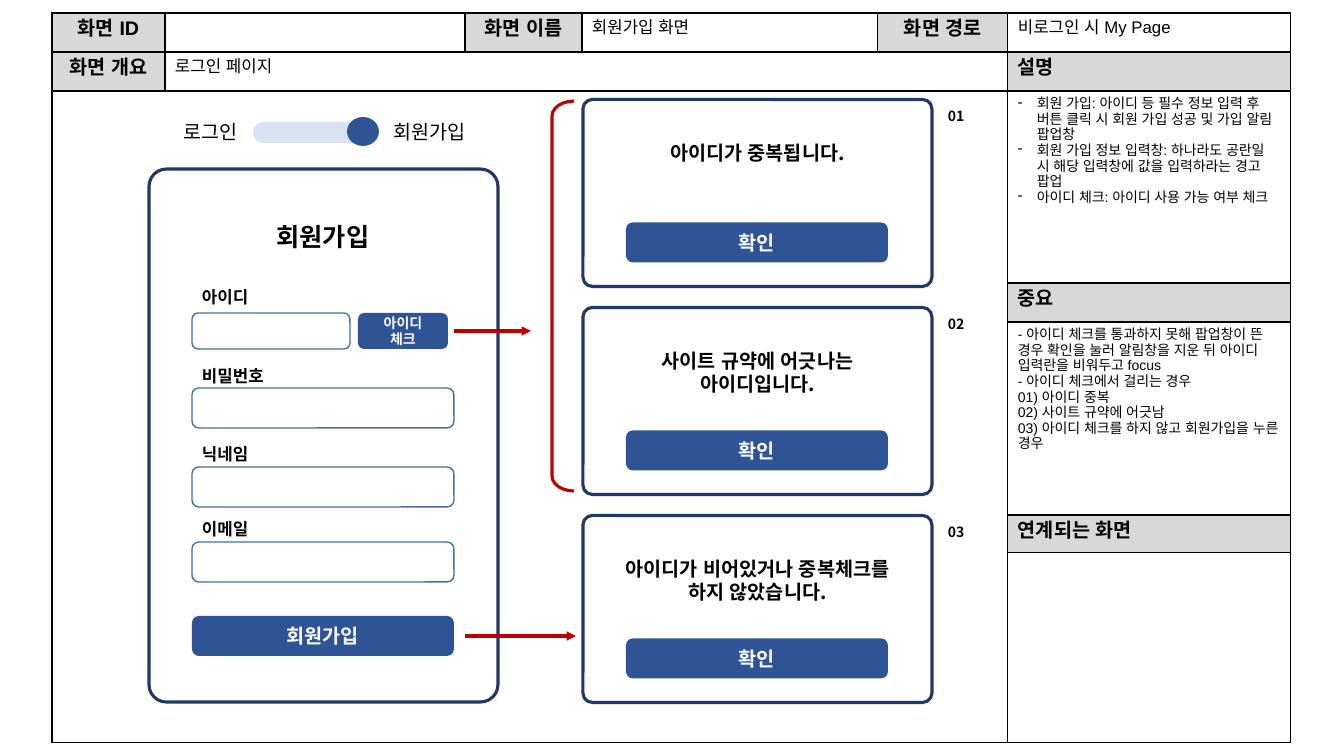
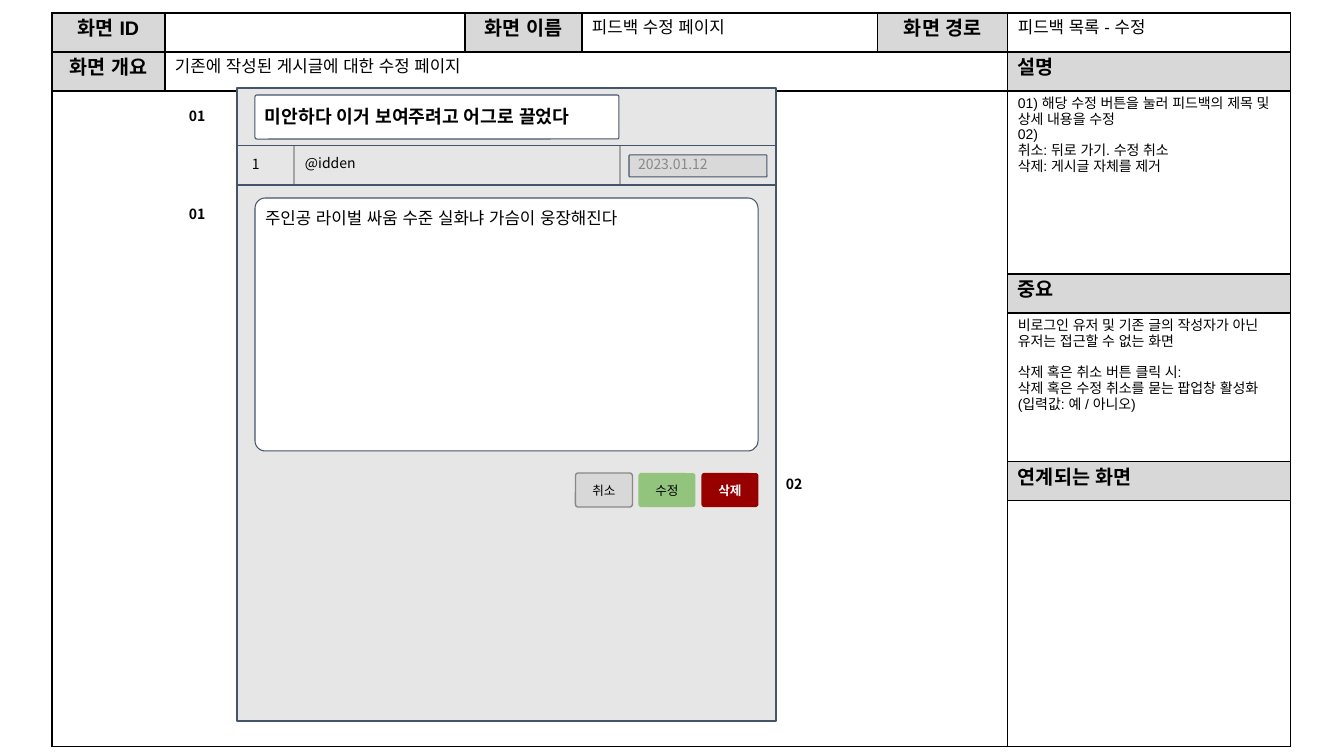
from pptx import Presentation
from pptx import util as u
from pptx.dml.color import RGBColor
from pptx.enum import lang, shapes, text
from pptx.oxml import parse_xml
from pptx.oxml.ns import nsdecls, qn
from lxml import etree

SCALE = 914400 / 100.8
LATIN, KOREAN = "Arial", "Noto Sans CJK KR"
BLACK, WHITE, HEADING = "000000", "FFFFFF", "D8D8D8"
NAVY, BLUE, FIELD, RED = "1F3864", "2F5496", "42719B", "C00000"
SLATE, PANEL, MUTED, DIVIDER = "44546A", "E7E6E6", "888888", "A5A5A5"
COLUMNS = (113, 300, 117, 296, 130, 283)
LEFT, CENTER = text.PP_ALIGN.LEFT, text.PP_ALIGN.CENTER
ROUND, RECT = shapes.MSO_SHAPE.ROUNDED_RECTANGLE, shapes.MSO_SHAPE.RECTANGLE


def px(length):
    """Turn pixels into EMU."""
    return u.Emu(round(length * SCALE))


def rgb(value):
    """Turn a hex string into a colour."""
    return RGBColor.from_string(value)


def write(frame, words, size, font=KOREAN, color=BLACK, bold=False, align=LEFT):
    """Put text into a frame and format each of its runs."""
    frame.text = words
    for paragraph in frame.paragraphs:
        paragraph.alignment = align
        for run in paragraph.runs:
            run.font.size = u.Pt(size)
            run.font.name = font
            run.font.bold = bold
            run.font.color.rgb = rgb(color)
            run.font.language_id = lang.MSO_LANGUAGE_ID.KOREAN
            etree.SubElement(run.font._element, qn("a:ea"), typeface=font)


def set_margins(frame, vertical):
    """Wrap the text of a frame and set its margins."""
    frame.word_wrap = True
    frame.margin_left = frame.margin_right = px(10)
    frame.margin_top = frame.margin_bottom = px(vertical)


def label(slide, at, words, size, margin=5, **style):
    """Add a text box."""
    frame = slide.shapes.add_textbox(*map(px, at)).text_frame
    set_margins(frame, margin)
    write(frame, words, size, **style)


def tag(slide, left, top, words, width=52, **style):
    """Add a small one-line label, such as a reference number."""
    label(slide, (left, top, width, 37), words, 10, margin=10, **style)


def box(slide, at, kind=ROUND, fill=None, line=None, weight=1, corner=None):
    """Add a shape with an optional fill, outline and corner radius."""
    shape = slide.shapes.add_shape(kind, *map(px, at))
    shape.shadow.inherit = False
    if corner is not None:
        shape.adjustments[0] = corner
    if fill:
        shape.fill.solid()
        shape.fill.fore_color.rgb = rgb(fill)
    else:
        shape.fill.background()
    if line:
        shape.line.color.rgb = rgb(line)
        shape.line.width = u.Pt(weight)
    else:
        shape.line.fill.background()
    return shape


def button(slide, at, words, size=14, fill=BLUE, line=None, corner=0.17, margin=5,
           font=KOREAN, color=WHITE, bold=True):
    """Add a rounded button with a centred caption."""
    frame = box(slide, at, fill=fill, line=line, corner=corner).text_frame
    set_margins(frame, margin)
    frame.vertical_anchor = text.MSO_ANCHOR.MIDDLE
    write(frame, words, size, font, color, bold, CENTER)


def rule(slide, start, end, color, weight, arrow=False):
    """Add a straight line, with an arrowhead at its end if asked."""
    line = slide.shapes.add_connector(
        shapes.MSO_CONNECTOR.STRAIGHT, *map(px, (*start, *end)))
    line.line.color.rgb = rgb(color)
    line.line.width = u.Pt(weight)
    if arrow:
        etree.SubElement(line.line._get_or_add_ln(), qn("a:tailEnd"), type="triangle")
    etree.SubElement(line._element.spPr, qn("a:effectLst"))


def style_cell(cell):
    """Give a cell no fill, black borders and a small empty line."""
    cell.fill.background()
    properties = cell._tc.get_or_add_tcPr()
    for order, side in enumerate(("lnL", "lnR", "lnT", "lnB")):
        properties.insert(order, parse_xml(
            f'<a:{side} {nsdecls("a")} w="12700"><a:solidFill>'
            f'<a:srgbClr val="{BLACK}"/></a:solidFill></a:{side}>'))
    cell.margin_left = cell.margin_right = px(10)
    cell.margin_top = cell.margin_bottom = px(5)
    etree.SubElement(cell.text_frame.paragraphs[0]._p, qn("a:endParaRPr"), sz="1000")


def spec_table(slide, heights, name, route, overview, notes, important):
    """Add the specification sheet that frames every screen."""
    frame = slide.shapes.add_table(len(heights), len(COLUMNS), px(52), px(13),
                                   px(sum(COLUMNS)), px(sum(heights)))
    table = frame.table
    table.first_row = table.horz_banding = False
    for column, width in zip(table.columns, COLUMNS):
        column.width = px(width)
    for row, height in zip(table.rows, heights):
        row.height = px(height)
    for cell in table.iter_cells():
        style_cell(cell)
    table.cell(1, 1).merge(table.cell(1, 4))
    table.cell(2, 0).merge(table.cell(6, 4))

    headings = {(0, 0): "화면 ID", (0, 2): "화면 이름", (0, 4): "화면 경로",
                (1, 0): "화면 개요", (1, 5): "설명", (3, 5): "중요",
                (5, 5): "연계되는 화면"}
    for (row, column), words in headings.items():
        cell = table.cell(row, column)
        cell.fill.solid()
        cell.fill.fore_color.rgb = rgb(HEADING)
        write(cell.text_frame, words, 14, LATIN, bold=True,
              align=LEFT if column == 5 else CENTER)
    entries = {(0, 3): (name, 12), (0, 5): (route, 12), (1, 1): (overview, 12),
               (2, 5): (notes, 10), (4, 5): (important, 10)}
    for place, (words, size) in entries.items():
        write(table.cell(*place).text_frame, words, size, LATIN)
    return table


def add_dashes(frame):
    """Turn the paragraphs of a frame into a dashed list."""
    for paragraph in frame.paragraphs:
        properties = paragraph._p.get_or_add_pPr()
        properties.set("marL", str(px(19)))
        properties.set("indent", str(-px(19)))
        etree.SubElement(properties, qn("a:buChar"), char="-")


def mode_switch(slide):
    """Add the switch between login and sign-up."""
    box(slide, (253, 122, 126, 21), fill="D8E2F3", corner=0.5)
    box(slide, (347, 117, 32, 29), shapes.MSO_SHAPE.OVAL, fill=BLUE)
    label(slide, (166, 115, 90, 34), "로그인", 14, align=CENTER)
    label(slide, (379, 115, 102, 34), "회원가입", 14, align=CENTER)


def signup_form(slide):
    """Add the sign-up card with its fields and buttons."""
    box(slide, (149, 169, 349, 533), line=NAVY, weight=2.25, corner=0.05)
    label(slide, (192, 216, 262, 40), "회원가입", 18, bold=True, align=CENTER)
    fields = (("아이디", 282, 313, 158, 36), ("비밀번호", 361, 388, 262, 40),
              ("닉네임", 439, 467, 262, 40), ("이메일", 514, 542, 262, 40))
    for name, name_top, top, width, height in fields:
        box(slide, (192, top, width, height), line=FIELD, corner=0.17)
        label(slide, (192, name_top, 107, 30), name, 12, bold=True)
    button(slide, (358, 313, 90, 36), "아이디 체크", 10)
    button(slide, (192, 616, 262, 40), "회원가입")


def popup(slide, top, number, message, inset, height):
    """Add a numbered warning dialog with its confirm button."""
    box(slide, (583, top, 349, 187), line=NAVY, weight=2.25, corner=0.05)
    label(slide, (583 + inset, top + 36, 349 - 2 * inset, height), message, 14,
          bold=True, align=CENTER)
    button(slide, (626, top + 123, 262, 40), "확인")
    tag(slide, 938, top, number, bold=True)


def signup_slide(slide):
    """Build the sign-up screen."""
    table = spec_table(
        slide, (39, 39, 192, 39, 193, 38, 190),
        "회원가입 화면", "비로그인 시 My Page", "로그인 페이지",
        "회원 가입: 아이디 등 필수 정보 입력 후 버튼 클릭 시 회원 가입 성공 및 가입 알림 팝업창 \n"
        "회원 가입 정보 입력창: 하나라도 공란일 시 해당 입력창에 값을 입력하라는 경고 팝업\n"
        "아이디 체크: 아이디 사용 가능 여부 체크",
        "- 아이디 체크를 통과하지 못해 팝업창이 뜬 경우 확인을 눌러 알림창을 지운 뒤 "
        "아이디 입력란을 비워두고 focus\n"
        "- 아이디 체크에서 걸리는 경우\n01) 아이디 중복\n02) 사이트 규약에 어긋남\n"
        "03) 아이디 체크를 하지 않고 회원가입을 누른 경우")
    add_dashes(table.cell(2, 5).text_frame)
    signup_form(slide)
    mode_switch(slide)
    warnings = (("아이디가 중복됩니다.", 43, 34),
                ("사이트 규약에 어긋나는 아이디입니다.", 43, 57),
                ("아이디가 비어있거나 중복체크를 하지 않았습니다.", 28, 57))
    for index, (message, inset, height) in enumerate(warnings):
        popup(slide, 99.5 + 208 * index, f"0{index + 1}", message, inset, height)
    rule(slide, (454, 331), (531, 331), RED, 2.25, arrow=True)
    bracket = box(slide, (552, 101, 22, 390), shapes.MSO_SHAPE.RIGHT_BRACKET,
                  line=RED, weight=2.25, corner=0.68)
    bracket.rotation = 180
    rule(slide, (465, 636), (576, 636), RED, 2.25, arrow=True)


def feedback_slide(slide):
    """Build the feedback editing screen."""
    table = spec_table(
        slide, (39, 39, 183, 39, 149, 39, 246),
        "피드백 수정 페이지", "피드백 목록 - 수정", "기존에 작성된 게시글에 대한 수정 페이지",
        "01) 해당 수정 버튼을 눌러 피드백의 제목 및 상세 내용을 수정\n02) \n"
        "취소: 뒤로 가기. 수정 취소\n삭제: 게시글 자체를 제거",
        "비로그인 유저 및 기존 글의 작성자가 아닌 유저는 접근할 수 없는 화면\n"
        "삭제 혹은 취소 버튼 클릭 시: \n"
        "삭제 혹은 수정 취소를 묻는 팝업창 활성화 (입력값: 예 / 아니오)")
    table.cell(4, 5).text_frame.paragraphs[1].space_before = u.Pt(11.5)

    box(slide, (237, 88, 539, 633), RECT, PANEL, SLATE, 1.5)
    for y, weight in ((185, 1.5), (146, 0.75)):
        rule(slide, (237, y), (776, y), SLATE, weight)
    for x in (294, 620):
        rule(slide, (x, 146), (x, 184), DIVIDER, 1.5)
    tag(slide, 295, 146, "@idden", width=170)
    tag(slide, 242, 147, "1")

    for at in ((255, 198, 503, 253), (255, 95, 364, 44)):
        box(slide, at, fill=WHITE, line=SLATE, weight=0.75, corner=0.04)
    box(slide, (629, 155, 138, 22), fill="D9D9D9", line=SLATE, weight=0.75, corner=0.04)
    label(slide, (255, 198, 478, 40), "주인공 라이벌 싸움 수준 실화냐 가슴이 웅장해진다", 12,
          margin=10)
    label(slide, (255, 95, 364, 42), "미안하다 이거 보여주려고 어그로 끌었다", 13,
          margin=10, bold=True)
    tag(slide, 628, 147, "2023.01.12", width=101, color=MUTED)
    for left, top, number in ((179, 99, "01"), (179, 197, "01"), (776, 467, "02")):
        tag(slide, left, top, number, bold=True)

    actions = (("취소", HEADING, MUTED, BLACK, False), ("수정", "93C47D", None, BLACK, False),
               ("삭제", "980000", None, WHITE, True))
    for index, (name, fill, line, color, bold) in enumerate(actions):
        button(slide, (575.5 + 63 * index, 473, 57, 34), name, 9, fill, line, 0.08, 10,
               LATIN, color, bold)


def main():
    """Build both screens and save the deck."""
    deck = Presentation()
    deck.slide_width, deck.slide_height = px(1344), px(756)
    for build in (signup_slide, feedback_slide):
        build(deck.slides.add_slide(deck.slide_layouts[6]))
    deck.save("out.pptx")


main()
